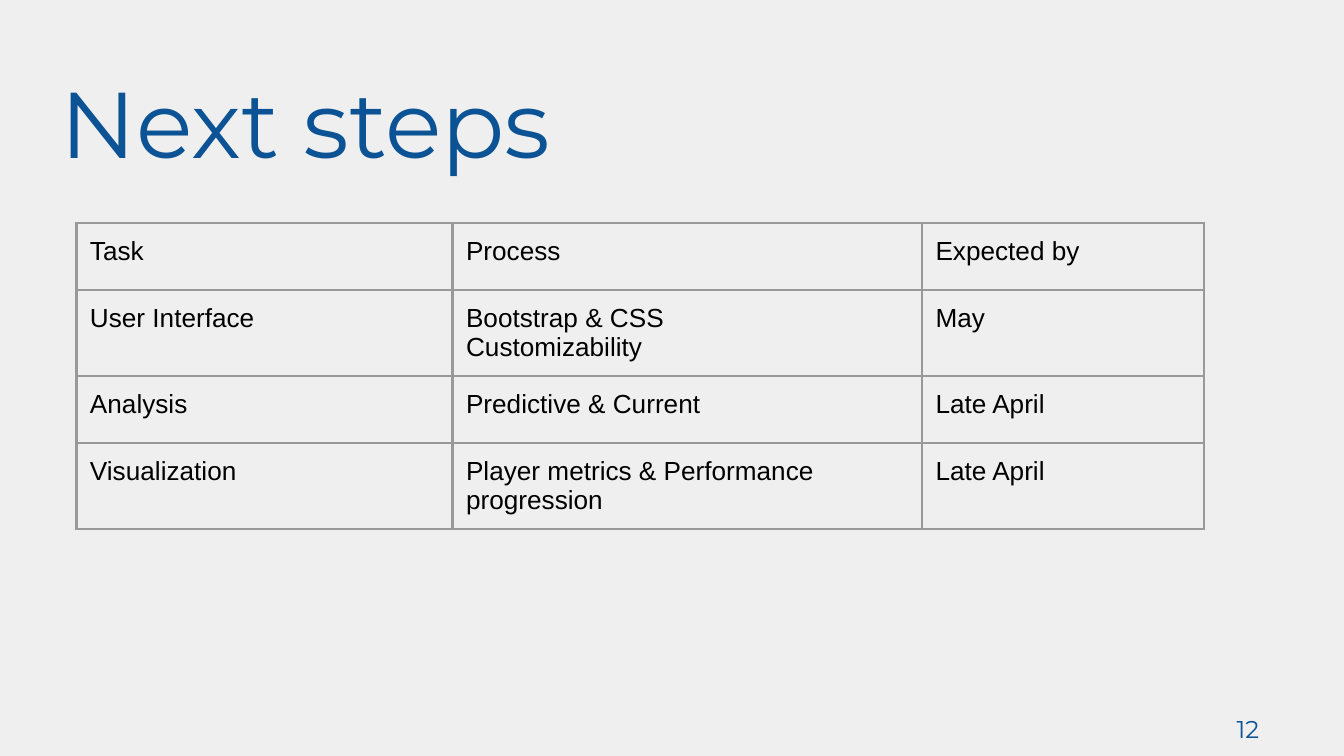
from lxml.etree import SubElement as Sub
from pptx import Presentation
from pptx.dml.color import RGBColor
from pptx.enum.shapes import MSO_SHAPE as Shape
from pptx.enum.text import MSO_ANCHOR as Anchor, MSO_AUTO_SIZE as Auto, PP_ALIGN as Align
from pptx.oxml.ns import qn
from pptx.util import Pt

TITLE = "Next steps"
PAGE = "12"
ROWS = [
    ("Task", "Process", "Expected by"),
    ("User Interface", "Bootstrap & CSS\nCustomizability", "May"),
    ("Analysis", "Predictive & Current", "Late April"),
    ("Visualization", "Player metrics & Performance progression", "Late April"),
]
WIDTHS = (201.5, 251.5, 151)
ROW_H = 36
PAD = 7.2
BACK, BLUE, GREY, BLACK = "EFEFEF", "0B5394", "999999", "000000"


def color(code):
    return RGBColor.from_string(code)


def paint(fill, code):
    fill.solid()
    fill.fore_color.rgb = color(code)


def write(frame, text, size=14, font="Arial", ink=BLACK, align=Align.LEFT):
    frame.word_wrap = True
    frame.text = text
    for para in frame.paragraphs:
        para.alignment = align
        para.font.size = Pt(size)
        para.font.name = font
        para.font.color.rgb = color(ink)


def pad(box, left=PAD, top=PAD, right=PAD, bottom=PAD):
    box.margin_left, box.margin_top = Pt(left), Pt(top)
    box.margin_right, box.margin_bottom = Pt(right), Pt(bottom)


def border(cell, code, width):
    props = cell._tc.get_or_add_tcPr()
    for i, side in enumerate(("lnL", "lnR", "lnT", "lnB")):
        line = props.makeelement(qn(f"a:{side}"), {"w": str(Pt(width))})
        fill = Sub(line, qn("a:solidFill"))
        Sub(fill, qn("a:srgbClr"), val=code)
        props.insert(i, line)


deck = Presentation()
deck.slide_width, deck.slide_height = Pt(720), Pt(405)
slide = deck.slides.add_slide(deck.slide_layouts[5])
paint(slide.background.fill, BACK)

title = slide.shapes.title
title.left, title.top, title.width, title.height = Pt(25.2), Pt(35.3), Pt(621.4), Pt(59)
frame = title.text_frame
write(frame, TITLE, size=50, font="Montserrat", ink=BLUE)
pad(frame)
frame.auto_size = Auto.NONE
frame.vertical_anchor = Anchor.MIDDLE

table = slide.shapes.add_table(
    len(ROWS), len(WIDTHS), Pt(41), Pt(119.5), Pt(sum(WIDTHS)), Pt(ROW_H * len(ROWS))
).table
table.first_row = table.horz_banding = False
for col, width in zip(table.columns, WIDTHS):
    col.width = Pt(width)
for r, row in enumerate(ROWS):
    table.rows[r].height = Pt(ROW_H)
    for c, text in enumerate(row):
        cell = table.cell(r, c)
        write(cell.text_frame, text)
        pad(cell)
        cell.fill.background()
        border(cell, GREY, 1.5)

badge = slide.shapes.add_shape(Shape.RECTANGLE, Pt(658), Pt(382.3), Pt(21), Pt(23))
badge.shadow.inherit = False
paint(badge.fill, BACK)
badge.line.fill.background()
frame = badge.text_frame
write(frame, PAGE, size=13, font="Montserrat", ink=BLUE, align=Align.CENTER)
pad(frame, left=0, top=0, right=0)
frame.vertical_anchor = Anchor.MIDDLE

deck.save("out.pptx")
